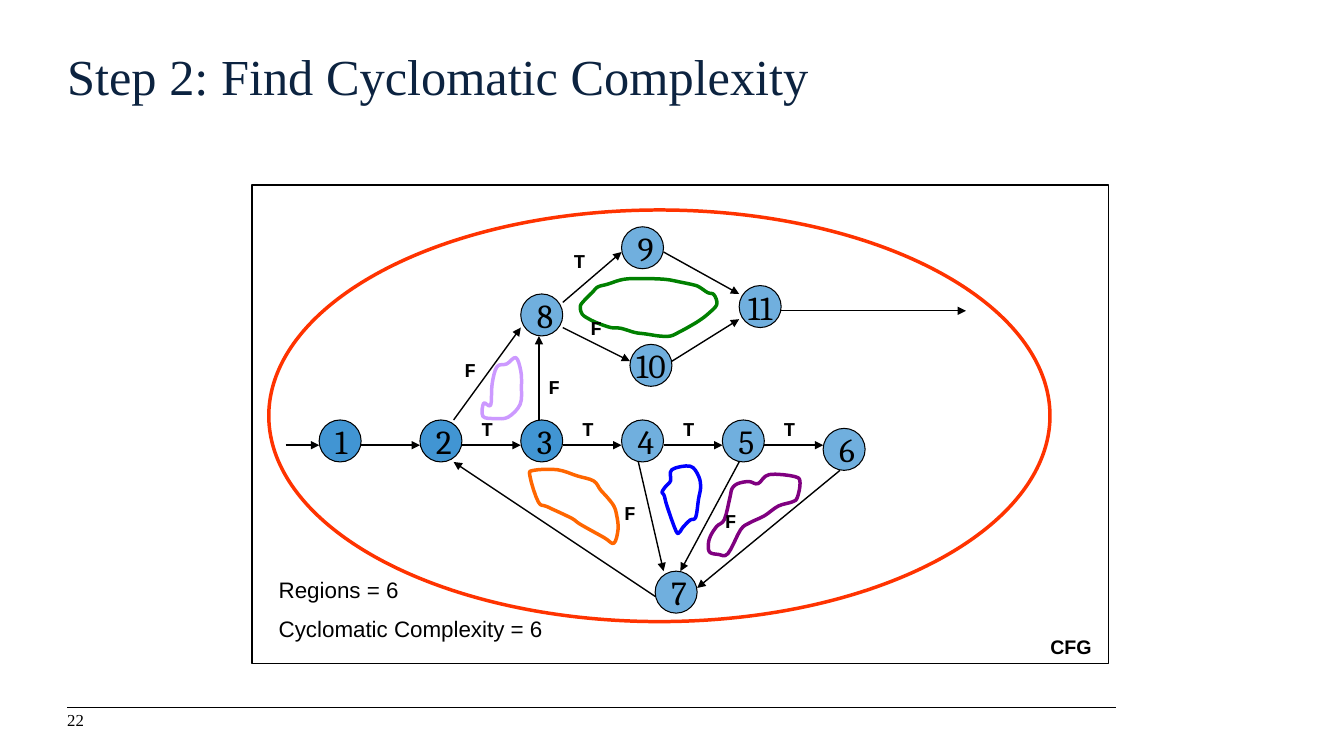
from pptx import Presentation
from pptx.dml.color import RGBColor
from pptx.enum.shapes import MSO_CONNECTOR, MSO_SHAPE
from pptx.enum.text import MSO_ANCHOR as ANCHOR, PP_ALIGN as ALIGN
from pptx.oxml.ns import qn
from pptx.util import Pt
from lxml.etree import SubElement


def color(fmt, hex_code):
    """Make a fill solid in the given colour."""
    fmt.solid()
    fmt.fore_color.rgb = RGBColor.from_string(hex_code)


def write(sp, lines, frame, font, align=ALIGN.LEFT, ink="000000"):
    """Write one paragraph per line with shared frame and font formats."""
    tf = sp.text_frame
    for name, value in frame.items():
        setattr(tf, name, value)
    for i, line in enumerate(lines):
        p = tf.paragraphs[0] if i == 0 else tf.add_paragraph()
        p.alignment = align
        p.space_before = Pt(9 if i else 0)
        r = p.add_run()
        r.text = line
        for name, value in font.items():
            setattr(r.font, name, value)
        color(r.font.fill, ink)


prs = Presentation()
prs.slide_width, prs.slide_height = Pt(960), Pt(540)
s = prs.slides.add_slide(prs.slide_layouts[5])

# Title
title = s.shapes.title
title.left, title.top, title.width, title.height = Pt(48), Pt(32.5), Pt(749), Pt(67)
edge = {"margin_left": 0, "margin_top": 0, "margin_right": Pt(7.2), "margin_bottom": Pt(3.6)}
write(title, ["Step 2: Find Cyclomatic Complexity"],
      {**edge, "vertical_anchor": ANCHOR.TOP, "word_wrap": True},
      {"name": "Times New Roman", "size": Pt(36)}, ink="0C2340")

# Page number
number = s.shapes.add_textbox(Pt(48), Pt(508.5), Pt(38), Pt(15))
write(number, ["22"], {**edge, "vertical_anchor": ANCHOR.MIDDLE, "word_wrap": True},
      {"name": "Times New Roman", "size": Pt(12)})

# Region outlines: points on each closed curve
regions = {
    "008000": [(505.5, 209), (499.5, 205), (495.5, 203.5), (486, 201.5), (475, 199.5),
               (458.5, 199), (445.5, 199.5), (434, 203), (427, 205), (423, 209),
               (417, 215), (414.5, 219), (416, 224.5), (421, 228), (427.5, 231),
               (436.5, 234), (443.5, 234.5), (453.5, 237.5), (461, 238.5), (471, 240),
               (479, 240), (485.5, 237), (492, 233.5), (499.5, 229), (506, 224),
               (512, 217.5), (510, 210.5)],
    "FF6600": [(434, 355.5), (429, 350), (424, 343.5), (412.5, 340), (398, 335.5),
               (381, 336), (378.5, 340), (384.5, 358.5), (391, 362), (408, 370),
               (414.5, 374.5), (431.5, 384), (438.5, 388), (441.5, 378), (440.5, 368),
               (438.5, 361.5)],
    "0000FF": [(483, 379.5), (476.5, 361.5), (474.5, 354), (473, 351.5), (475.5, 347.5),
               (479, 343.5), (480, 335.5), (493, 333), (499, 340), (500.5, 348),
               (499, 356.5), (497, 369.5), (493, 371.5), (488, 376.5), (485.5, 380)],
    "800080": [(541.5, 345.5), (549.5, 339), (568, 340.5), (571.5, 345), (569.5, 355.5),
               (566, 358.5), (556, 361.5), (546, 368.5), (535.5, 373.5), (529, 378.5),
               (520, 395.5), (513, 396), (507, 394.5), (506, 389), (507.5, 383),
               (512, 376), (517.5, 371), (521.5, 355), (523, 349), (527, 345.5),
               (535, 344)],
    "CC99FF": [(350.5, 289.5), (351.5, 274.5), (355, 262), (362, 260), (368.5, 255.5),
               (372, 265), (372.5, 276), (371.5, 289), (363, 298), (354, 299),
               (345, 297.5), (345.5, 288)],
}
STEPS = 4
for hex_code, pts in regions.items():
    # Catmull-Rom smoothing between neighbouring points
    curve = []
    for i in range(len(pts)):
        corners = [pts[(i + k) % len(pts)] for k in (-1, 0, 1, 2)]
        for t in (j / STEPS for j in range(STEPS)):
            curve.append(tuple(
                Pt((2 * b + (c - a) * t + (2 * a - 5 * b + 4 * c - d) * t ** 2
                    + (3 * b - a - 3 * c + d) * t ** 3) / 2)
                for a, b, c, d in zip(*corners)))
    outline = s.shapes.build_freeform(*curve[0])
    outline.add_line_segments(curve[1:], close=True)
    sp = outline.convert_to_shape()
    sp.shadow.inherit = False
    sp.fill.background()
    color(sp.line.fill, hex_code)
    sp.line.width = Pt(2.5)

# Nodes of the flow graph
nodes = {"1": (228, 300), "2": (300, 300), "3": (372, 300), "4": (444, 300),
         "5": (516, 300), "6": (588, 306), "7": (468, 408), "9": (444, 162),
         "8": (372, 210), "10": (450, 246), "11": (528, 204)}
for name, (x, y) in nodes.items():
    sp = s.shapes.add_shape(MSO_SHAPE.OVAL, Pt(x), Pt(y), Pt(30), Pt(30))
    sp.shadow.inherit = False
    color(sp.fill, "4195D3")
    if name not in ("1", "2", "3"):
        rgb = sp.fill._xPr.find(qn("a:solidFill"))[0]
        SubElement(rgb, qn("a:alpha"), val="75000")
    color(sp.line.fill, "000000")
    sp.line.width = Pt(0.75)
    write(sp, [name], {"vertical_anchor": ANCHOR.MIDDLE, "word_wrap": False},
          {"name": "Cambria", "size": Pt(24)},
          ALIGN.CENTER if len(name) > 1 else ALIGN.LEFT)

# Arrows, and the footer rule without a head
row = [(258 + 72 * i, 318, 300 + 72 * i, 318) for i in range(5)]
arrows = row + [
    (204, 318, 228, 318), (600, 336, 498, 420), (528, 330, 486, 408),
    (456, 330, 474, 408), (468, 426, 324, 330), (324, 300, 372, 234),
    (385, 300, 385, 240), (402, 216, 444, 180), (402, 234, 450, 258),
    (474, 180, 528, 210), (480, 258, 528, 228), (558, 222, 690, 222)]
rule = (48, 505.5, 797, 505.5)
for ends in arrows + [rule]:
    line = s.shapes.add_connector(MSO_CONNECTOR.STRAIGHT, *map(Pt, ends))
    color(line.line.fill, "000000")
    line.line.width = Pt(0.75 if ends == rule else 1)
    if ends != rule:
        SubElement(line.line._get_or_add_ln(), qn("a:tailEnd"), type="triangle")
    SubElement(line._element.spPr, qn("a:effectLst"))

# Frame and outer region
for kind, box, hex_code, width in (
        (MSO_SHAPE.RECTANGLE, (180, 132, 612, 342), "000000", 1),
        (MSO_SHAPE.OVAL, (192, 150, 558, 294), "FF3300", 2.5)):
    sp = s.shapes.add_shape(kind, *map(Pt, box))
    sp.shadow.inherit = False
    sp.fill.background()
    color(sp.line.fill, hex_code)
    sp.line.width = Pt(width)

# Branch labels
branches = {"T": [(330 + 72 * i, 294) for i in range(4)] + [(396, 174)],
            "F": [(408, 222), (318, 252), (432, 354), (504, 360), (378, 264)]}
for label, places in branches.items():
    for x, y in places:
        sp = s.shapes.add_textbox(Pt(x), Pt(y), Pt(36), Pt(24))
        write(sp, [label], {"word_wrap": True},
              {"name": "Courier New", "size": Pt(14), "bold": True}, ALIGN.CENTER)

# Captions
cfg = s.shapes.add_textbox(Pt(738), Pt(450), Pt(54), Pt(24))
write(cfg, ["CFG"], {"word_wrap": True},
      {"name": "Arial", "size": Pt(14), "bold": True}, ALIGN.CENTER)
result = s.shapes.add_textbox(Pt(192), Pt(408), Pt(228), Pt(55.5))
write(result, ["Regions = 6", "Cyclomatic Complexity = 6"], {"word_wrap": True},
      {"name": "Arial", "size": Pt(16)})

prs.save("out.pptx")
